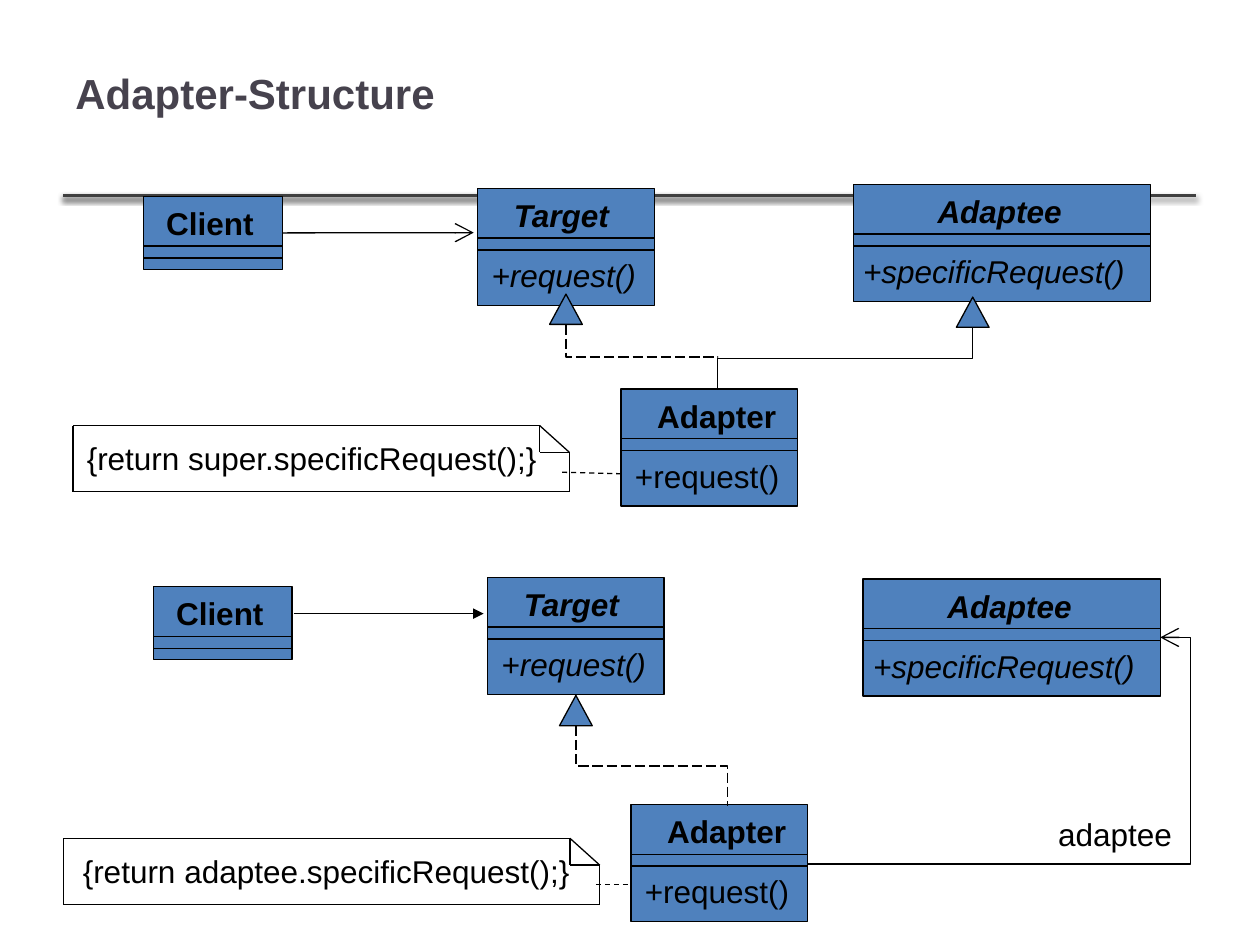
from lxml import etree
from pptx import Presentation
from pptx.dml.color import RGBColor
from pptx.enum.dml import MSO_LINE
from pptx.enum.shapes import MSO_CONNECTOR, MSO_SHAPE
from pptx.enum.text import MSO_ANCHOR, MSO_AUTO_SIZE
from pptx.oxml.ns import qn
from pptx.util import Cm, Pt

BLACK = RGBColor(0x00, 0x00, 0x00)
BLUE = RGBColor(0x4F, 0x81, 0xBD)
RULE_GREY = RGBColor(0x40, 0x40, 0x40)
TITLE_GREY = RGBColor(0x46, 0x42, 0x4D)
DASH, LONG_DASH = MSO_LINE.DASH, MSO_LINE.LONG_DASH
STRAIGHT, ELBOW = MSO_CONNECTOR.STRAIGHT, MSO_CONNECTOR.ELBOW
RECTANGLE, TRIANGLE = MSO_SHAPE.RECTANGLE, MSO_SHAPE.ISOSCELES_TRIANGLE
MIDDLE, GROW = MSO_ANCHOR.MIDDLE, MSO_AUTO_SIZE.SHAPE_TO_FIT_TEXT
TRIANGLE_WIDTH, TRIANGLE_HEIGHT = 0.66, 0.61
BOX_WIDTH, BOX_HEIGHT = 3.56, 2.36


def add_line(shapes, start, end, kind=STRAIGHT, dash=None, color=BLACK, width=0.75):
    """Add a connector between two points in centimetres."""
    connector = shapes.add_connector(kind, *(Cm(value) for value in (*start, *end)))
    connector.line.color.rgb = color
    connector.line.width = Pt(width)
    if dash:
        connector.line.dash_style = dash
    etree.SubElement(connector._element.spPr, qn("a:effectLst"))
    return connector


def add_arrowhead(connector, end, style, size="med"):
    """Put an arrowhead on the headEnd or tailEnd of a connector."""
    line = connector.line._get_or_add_ln()
    etree.SubElement(line, qn(f"a:{end}"), type=style, w=size, len=size)


def add_vertical_elbow(shapes, start, end, dash=None):
    """Add an elbow that leaves downwards and arrives downwards."""
    (x1, y1), (x2, y2) = start, end
    center_x, center_y = (x1 + x2) / 2, (y1 + y2) / 2
    side = 1 if x2 > x1 else -1
    half_width, half_height = side * (y2 - y1) / 2, abs(x2 - x1) / 2
    connector = add_line(shapes, (center_x + half_width, center_y - half_height),
                         (center_x - half_width, center_y + half_height), ELBOW, dash)
    rotation = "16200000" if side == 1 else "5400000"
    connector._element.spPr.find(qn("a:xfrm")).set("rot", rotation)


def add_label(shapes, left, top, width, text, bold=False, italic=False):
    """Add a one-line label."""
    label = shapes.add_textbox(Cm(left), Cm(top), Cm(width), Cm(1.02))
    text_frame = label.text_frame
    text_frame.text = text
    text_frame.word_wrap = False
    text_frame.auto_size = GROW
    font = text_frame.paragraphs[0].runs[0].font
    font.name, font.size, font.bold, font.italic = "Arial", Pt(18), bold, italic
    font.color.rgb = BLACK


def add_blue_shape(shapes, kind, left, top, width, height):
    """Add a blue shape with a thin black outline."""
    shape = shapes.add_shape(kind, Cm(left), Cm(top), Cm(width), Cm(height))
    shape.shadow.inherit = False
    shape.fill.solid()
    shape.fill.fore_color.rgb = BLUE
    shape.line.color.rgb = BLACK
    shape.line.width = Pt(0.75)
    return shape


def add_class_box(slide, left, top, width, name, operation=None, italic=False):
    """Draw a class with its name, two dividers and an optional operation."""
    text, offset, name_width = name
    shapes = slide.shapes.add_group_shape().shapes
    height = BOX_HEIGHT if operation else 1.47
    rectangle = add_blue_shape(shapes, RECTANGLE, left, top, width, height)
    for divider in (1.0, 1.24):
        add_line(shapes, (left, top + divider), (left + width, top + divider))
    add_label(shapes, left + offset, top + 0.03, name_width, text, True, italic)
    if operation:
        text, offset, operation_width = operation
        add_label(shapes, left + offset, top + 1.24, operation_width, text, False, italic)
    return rectangle


def add_classes(slide, left, client_top, target_top, adapter_top, adaptee_top):
    """Draw the four classes of one variant and return the client."""
    request = ("+request()", 0.03, 3.43)
    client = add_class_box(slide, left, client_top, 2.79, ("Client", 0.2, 2.29))
    add_class_box(slide, left + 6.73, target_top, BOX_WIDTH, ("Target", 0.48, 2.46), request, True)
    add_class_box(slide, left + 9.62, adapter_top, BOX_WIDTH, ("Adapter", 0.48, 2.92), request)
    add_class_box(slide, left + 14.3, adaptee_top, 5.99, ("Adaptee", 1.45, 3.02),
                  ("+specificRequest()", -0.05, 5.79), True)
    return client


def add_client_arrow(slide, left, y, style, size="med"):
    """Draw the arrow from client to target."""
    arrow = add_line(slide.shapes, (left + 2.82, y), (left + 6.65, y))
    add_arrowhead(arrow, "tailEnd", style, size)
    return arrow


def add_inheritance(slide, left, top, end, dash=None):
    """Draw a triangle and the elbow from its base to a subclass."""
    add_blue_shape(slide.shapes, TRIANGLE, left, top, TRIANGLE_WIDTH, TRIANGLE_HEIGHT)
    start = (left + TRIANGLE_WIDTH / 2, top + TRIANGLE_HEIGHT)
    add_vertical_elbow(slide.shapes, start, end, dash)


def add_note(slide, left, top, width, text, text_offset, text_width):
    """Draw a note with a folded corner."""
    shapes = slide.shapes.add_group_shape().shapes
    right, bottom = left + width, top + 1.33
    fold_x, fold_y = right - 0.6, top + 0.54
    for start, end in (
        ((left, top), (fold_x, top)),
        ((fold_x, top), (right, fold_y)),
        ((fold_x, top), (fold_x, fold_y)),
        ((fold_x, fold_y), (right, fold_y)),
        ((right, fold_y), (right, bottom)),
        ((left, bottom), (right, bottom)),
        ((left, top), (left, bottom)),
    ):
        add_line(shapes, start, end)
    add_label(shapes, left + text_offset, top + 0.15, text_width, text)


def add_association(slide, start, end, bend_x):
    """Draw the elbow from adaptee round to adapter."""
    connector = add_line(slide.shapes, start, end, ELBOW)
    add_arrowhead(connector, "headEnd", "arrow", "lg")
    geometry = connector._element.spPr.find(qn("a:prstGeom"))
    values = geometry.find(qn("a:avLst"))
    if values is None:
        values = etree.SubElement(geometry, qn("a:avLst"))
    ratio = round((start[0] - bend_x) / (start[0] - end[0]) * 100000)
    etree.SubElement(values, qn("a:gd"), name="adj1", fmla=f"val {ratio}")


def add_header(slide, left, top, width):
    """Draw the title and the shadowed rules below it."""
    for length in (20.3, width):
        rule = add_line(slide.shapes, (left, top + 3.66), (left + length, top + 3.66),
                        color=RULE_GREY, width=2)
        effects = rule._element.spPr.find(qn("a:effectLst"))
        shadow = etree.SubElement(effects, qn("a:outerShdw"), blurRad="39370", dist="20320",
                                  dir="5400000", rotWithShape="0")
        shade = etree.SubElement(shadow, qn("a:srgbClr"), val="000000")
        etree.SubElement(shade, qn("a:alpha"), val="38000")
    title = slide.shapes.add_textbox(Cm(left), Cm(top), Cm(width), Cm(3.18))
    text_frame = title.text_frame
    text_frame.text = "Adapter-Structure"
    text_frame.word_wrap = True
    text_frame.vertical_anchor = MIDDLE
    font = text_frame.paragraphs[0].runs[0].font
    font.name, font.size, font.bold = "Arial", Pt(24), True
    font.color.rgb = TITLE_GREY


def add_class_adapter(slide, left, top):
    """Draw the variant in which the adapter inherits from the adaptee."""
    client = add_classes(slide, left, top + 0.24, top + 0.08, top + 4.12, top)
    arrow = add_client_arrow(slide, left, top + 0.97, "arrow", "lg")
    arrow.begin_connect(client, 3)
    adapter_end = (left + 11.57, top + 4.14)
    add_inheritance(slide, left + 8.18, top + 2.21, adapter_end, LONG_DASH)
    add_inheritance(slide, left + 16.38, top + 2.27, adapter_end)
    add_note(slide, left - 1.43, top + 4.86, 10.01, "{return super.specificRequest();}", 0.03, 9.6)
    add_line(slide.shapes, (left + 8.43, top + 5.8), (left + 9.62, top + 5.83), dash=DASH)


def add_object_adapter(slide, left, top):
    """Draw the variant in which the adapter holds an adaptee."""
    add_classes(slide, left, top + 0.19, top, top + 4.58, top + 0.03)
    add_client_arrow(slide, left, top + 0.73, "triangle")
    add_inheritance(slide, left + 8.18, top + 2.38, (left + 11.57, top + 4.61), LONG_DASH)
    add_association(slide, (left + 20.29, top + 1.21), (left + 13.18, top + 5.78), left + 20.9)
    add_label(slide.shapes, left + 17.98, top + 4.67, 3.1, "adaptee")
    add_note(slide, left - 1.82, top + 5.26, 10.81, "{return adaptee.specificRequest();}", 0.14, 10.33)
    add_line(slide.shapes, (left + 8.91, top + 6.19), (left + 9.62, top + 6.19), dash=DASH)


def main():
    """Build the slide and save it."""
    presentation = Presentation()
    presentation.slide_width, presentation.slide_height = Cm(25.4), Cm(19.05)
    slide = presentation.slides.add_slide(presentation.slide_layouts[6])
    add_header(slide, 1.27, 0.28, 22.84)
    add_class_adapter(slide, 2.9, 3.72)
    add_object_adapter(slide, 3.1, 11.64)
    presentation.save("out.pptx")


if __name__ == "__main__":
    main()
